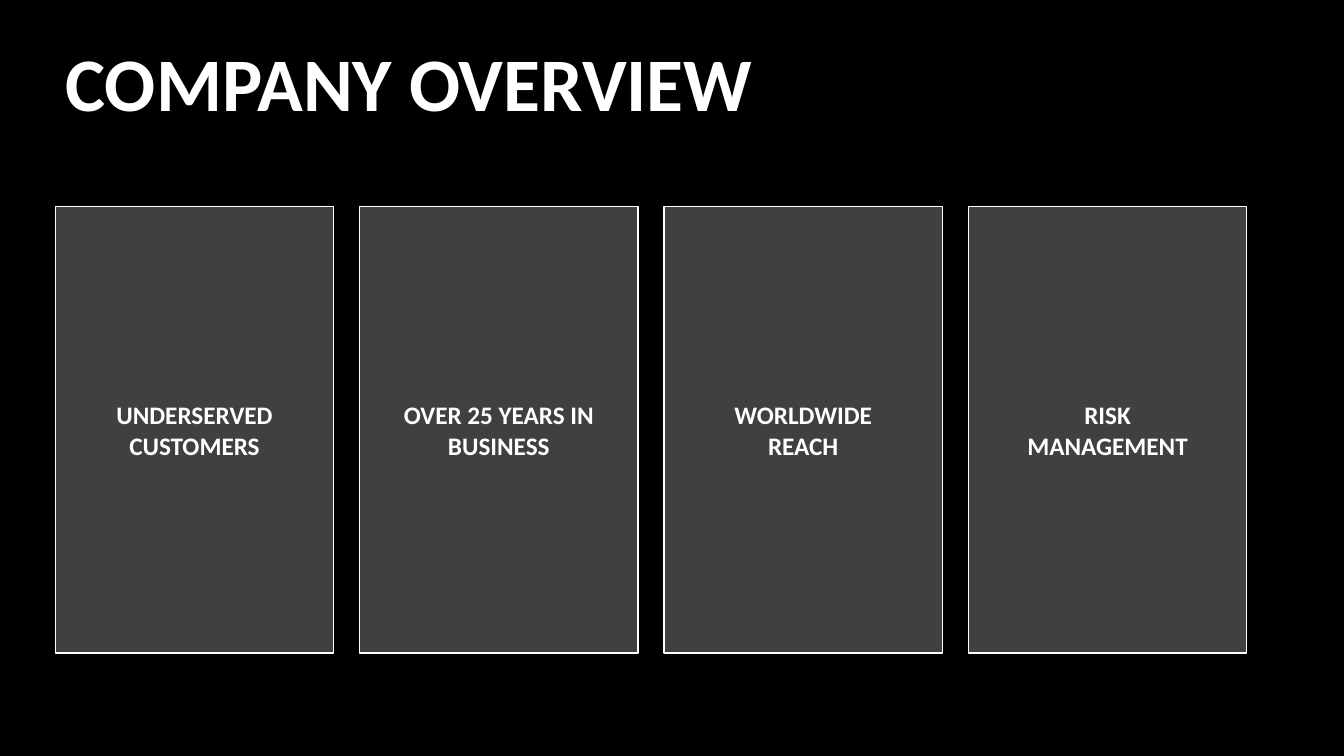
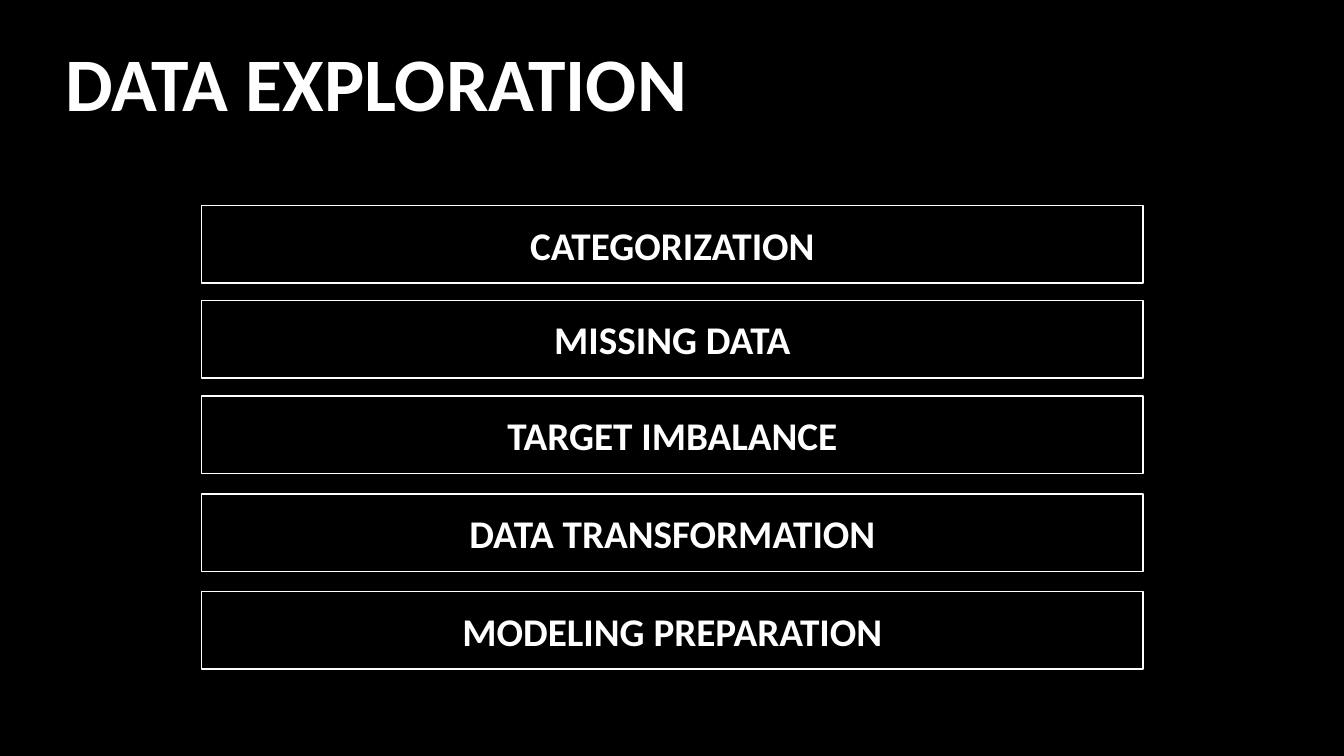
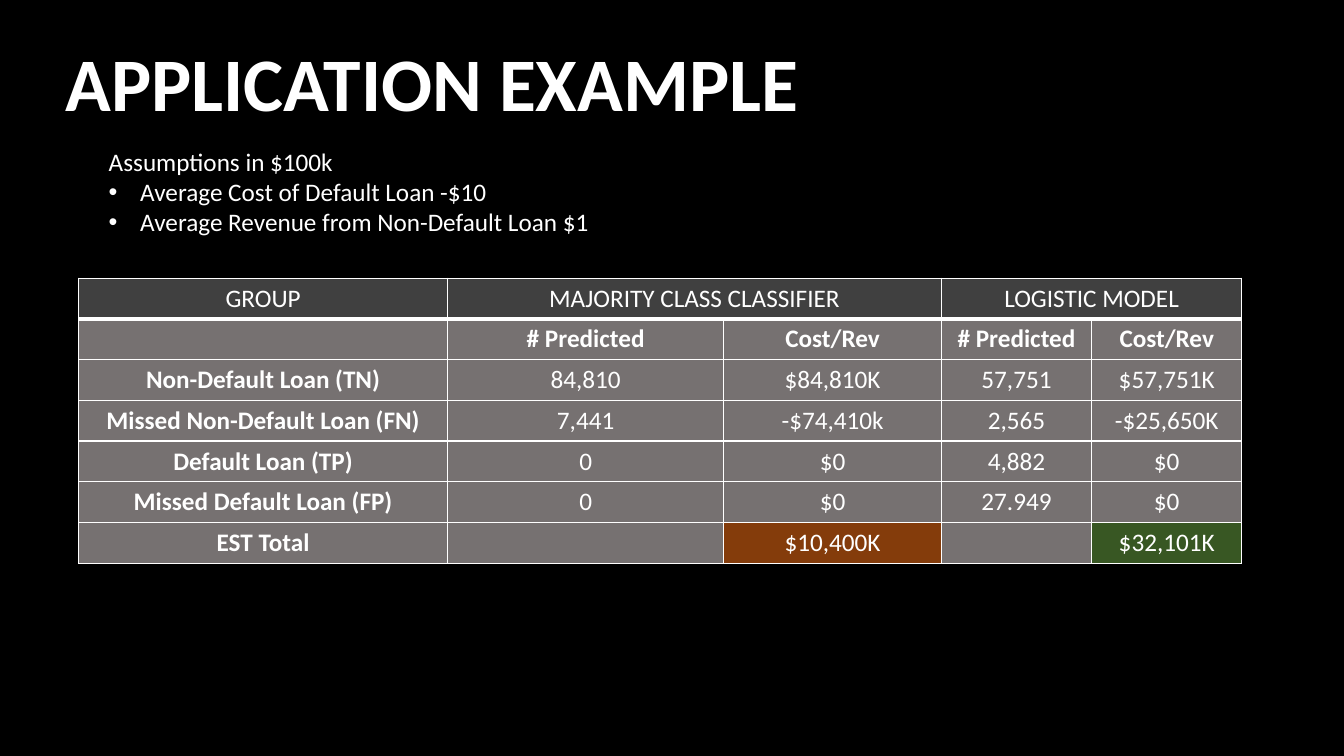
from lxml import etree
from pptx import Presentation
from pptx import util as u
from pptx.dml.color import RGBColor
from pptx.enum import shapes, text
from pptx.oxml import ns

FONT = "Calibri"
COLORS = {
    "black": "000000",
    "white": "FFFFFF",
    "card": "404040",
    "cell": "767171",
    "loss": "843C0B",
    "gain": "385723",
}

OVERVIEW_CARDS = [
    ["UNDERSERVED CUSTOMERS"],
    ["OVER 25 YEARS IN BUSINESS"],
    ["WORLDWIDE", "REACH"],
    ["RISK", "MANAGEMENT"],
]
EXPLORATION_BARS = [
    ("CATEGORIZATION", 146.9),
    ("MISSING DATA", 214.6),
    ("TARGET IMBALANCE", 283),
    ("DATA TRANSFORMATION", 352.8),
    ("MODELING PREPARATION", 422.6),
]
ASSUMPTIONS_HEADING = "Assumptions in $100k"
ASSUMPTIONS = [
    "Average Cost of Default Loan -$10",
    "Average Revenue from Non-Default Loan $1",
]
RESULT_ROWS = [
    ["GROUP", "MAJORITY CLASS CLASSIFIER", "", "LOGISTIC MODEL", ""],
    ["", "# Predicted", "Cost/Rev", "# Predicted", "Cost/Rev"],
    ["Non-Default Loan (TN)", "84,810", "$84,810K", "57,751", "$57,751K"],
    ["Missed Non-Default Loan (FN)", "7,441", "-$74,410k", "2,565", "-$25,650K"],
    ["Default Loan (TP)", "0", "$0", "4,882", "$0"],
    ["Missed Default Loan (FP)", "0", "$0", "27.949", "$0"],
    ["EST Total", "", "$10,400K", "", "$32,101K"],
]
COLUMN_WIDTHS = [263.5, 197.3, 155.5, 107.3, 107.3]
ROW_HEIGHT = 29.1
TOTAL_FILLS = {(6, 2): "loss", (6, 4): "gain"}


def color(name):
    return RGBColor.from_string(COLORS[name])


def box(left, top, width, height):
    return [u.Pt(length) for length in (left, top, width, height)]


def add_run(paragraph, words, size, bold=False):
    run = paragraph.add_run()
    run.text = words
    run.font.name = FONT
    run.font.size = u.Pt(size)
    run.font.bold = bold
    run.font.color.rgb = color("white")


def write_lines(frame, lines, size, bold=False, alignment=text.PP_ALIGN.LEFT):
    for index, line in enumerate(lines):
        paragraph = frame.add_paragraph() if index else frame.paragraphs[0]
        paragraph.alignment = alignment
        add_run(paragraph, line, size, bold)


def add_titled_slide(presentation, title_text):
    slide = presentation.slides.add_slide(presentation.slide_layouts[5])
    title = slide.shapes.title
    title.left, title.top, title.width, title.height = box(39.6, 27.4, 720, 69.1)
    frame = title.text_frame
    frame.auto_size = text.MSO_AUTO_SIZE.NONE
    frame.vertical_anchor = text.MSO_ANCHOR.MIDDLE
    write_lines(frame, [title_text], 54, True)
    frame.paragraphs[0].line_spacing = 0.9
    return slide


def add_panel(slide, place, fill, lines, size):
    panel = slide.shapes.add_shape(shapes.MSO_SHAPE.RECTANGLE, *box(*place))
    panel.shadow.inherit = False
    panel.fill.solid()
    panel.fill.fore_color.rgb = color(fill)
    panel.line.color.rgb = color("white")
    panel.line.width = u.Pt(1)
    panel.text_frame.word_wrap = True
    panel.text_frame.vertical_anchor = text.MSO_ANCHOR.MIDDLE
    write_lines(panel.text_frame, lines, size, True, text.PP_ALIGN.CENTER)


def add_bullet(paragraph, indent):
    properties = paragraph._p.get_or_add_pPr()
    properties.set("marL", str(u.Pt(indent)))
    properties.set("indent", str(-u.Pt(indent)))
    etree.SubElement(properties, ns.qn("a:buFont"), typeface="Arial")
    etree.SubElement(properties, ns.qn("a:buChar"), char="•")


def set_borders(cell, bottom):
    properties = cell._tc.get_or_add_tcPr()
    for side, width in (("L", 1), ("R", 1), ("T", 1), ("B", bottom)):
        line = etree.SubElement(properties, ns.qn("a:ln" + side), w=str(u.Pt(width)))
        fill = etree.SubElement(line, ns.qn("a:solidFill"))
        etree.SubElement(fill, ns.qn("a:srgbClr"), val=COLORS["white"])


def add_overview(presentation):
    slide = add_titled_slide(presentation, "COMPANY OVERVIEW")
    left, width, gap = 39.6, 198.7, 18.7
    for index, lines in enumerate(OVERVIEW_CARDS):
        place = (left + index * (width + gap), 147.6, width, 319)
        add_panel(slide, place, "card", lines, 18)


def add_exploration(presentation):
    slide = add_titled_slide(presentation, "DATA EXPLORATION")
    for label, top in EXPLORATION_BARS:
        add_panel(slide, (144, top, 672.5, 55.4), "black", [label], 28)


def add_assumptions(slide):
    frame = slide.shapes.add_textbox(*box(70.6, 100.8, 401, 72.7)).text_frame
    frame.word_wrap = True
    write_lines(frame, [ASSUMPTIONS_HEADING] + ASSUMPTIONS, 18)
    for paragraph in frame.paragraphs[1:]:
        add_bullet(paragraph, 22.5)


def add_results(slide):
    place = box(56.2, 198.7, sum(COLUMN_WIDTHS), ROW_HEIGHT * len(RESULT_ROWS))
    frame = slide.shapes.add_table(len(RESULT_ROWS), len(COLUMN_WIDTHS), *place)
    table = frame.table
    table.first_row = table.horz_banding = False
    for column, width in zip(table.columns, COLUMN_WIDTHS):
        column.width = u.Pt(width)
    for row_index, values in enumerate(RESULT_ROWS):
        table.rows[row_index].height = u.Pt(ROW_HEIGHT)
        header = row_index == 0
        for column_index, value in enumerate(values):
            cell = table.cell(row_index, column_index)
            set_borders(cell, 3 if header else 1)
            fill = TOTAL_FILLS.get((row_index, column_index), "card" if header else "cell")
            cell.fill.solid()
            cell.fill.fore_color.rgb = color(fill)
            if value:
                bold = row_index == 1 or (column_index == 0 and not header)
                write_lines(cell.text_frame, [value], 18, bold, text.PP_ALIGN.CENTER)
    for first in (1, 3):
        table.cell(0, first).merge(table.cell(0, first + 1))


def add_application(presentation):
    slide = add_titled_slide(presentation, "APPLICATION EXAMPLE")
    add_assumptions(slide)
    add_results(slide)


def main():
    presentation = Presentation()
    presentation.slide_width, presentation.slide_height = u.Pt(960), u.Pt(540)
    background = presentation.slide_master.background.fill
    background.solid()
    background.fore_color.rgb = color("black")
    add_overview(presentation)
    add_exploration(presentation)
    add_application(presentation)
    presentation.save("out.pptx")


if __name__ == "__main__":
    main()
